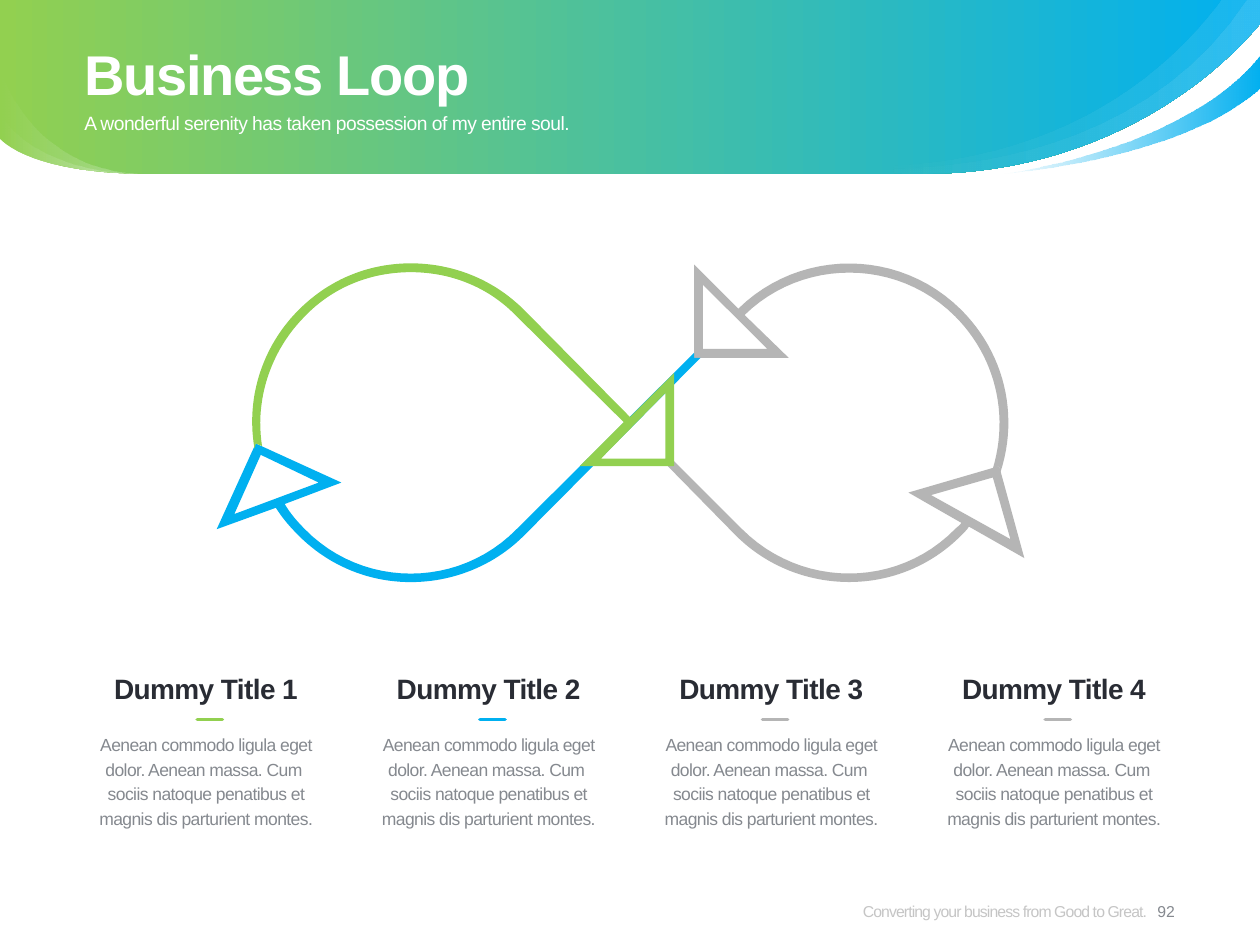
from dataclasses import dataclass

from lxml import etree
from pptx import Presentation
from pptx.dml.color import RGBColor
from pptx.enum.text import MSO_ANCHOR, MSO_AUTO_SIZE, PP_ALIGN
from pptx.oxml.ns import qn
from pptx.util import Inches, Pt

LEFT, CENTER, RIGHT = PP_ALIGN.LEFT, PP_ALIGN.CENTER, PP_ALIGN.RIGHT
TOP, MIDDLE = MSO_ANCHOR.TOP, MSO_ANCHOR.MIDDLE
NO_AUTOFIT = MSO_AUTO_SIZE.NONE


@dataclass(frozen=True)
class Theme:
    """Colours, font and type sizes of the slide."""
    green: str = "92D050"
    blue: str = "00B0F0"
    silver: str = "B5B5B5"
    white: str = "FFFFFF"
    dark: str = "292C34"
    gray: str = "85898F"
    footer: str = "8C8C8C"
    font: str = "Arial"
    title_size: int = 32
    heading_size: int = 16
    subtitle_size: int = 11
    body_size: int = 10
    footer_size: int = 9


THEME = Theme()
MARGIN, CONTENT_WIDTH = 0.67, 8.66
COLUMN_WIDTH, DASH_WIDTH = 1.93, 0.2
CURVE_STEPS = 24

HEADER_EDGE = [(10, 0.19), (9.45, 0.84, 8.5, 1.38, 7.34, 1.38)]
HEADER_TAIL = [(7.25, 1.38), (6.83, 1.38, 6.53, 1.31, 6.51, 1.31)]
BAND = [(10, 0), *HEADER_EDGE, (1.14, 1.38), (0.21, 1.37, 0, 1.1, 0, 1.1), (0, 0)]
RIBBON = [(7.94, 1.38), (7.94, 1.38, 9.4, 1.2, 10, 0.43), (10, 0.69),
          (10, 0.69, 9.54, 1.22, 7.94, 1.38)]
WIDE_GLOSS = [(10, 0), *HEADER_EDGE, *HEADER_TAIL, (8.32, 1.43, 9.26, 0.58, 9.69, 0)]
NARROW_GLOSS = [(10, 0), *HEADER_EDGE, *HEADER_TAIL, (6.58, 1.32, 8.82, 1.62, 9.89, 0)]

LOOP_PARTS = [
    (THEME.silver, [
        [(7.93, 3.7), (7.21, 3.91), (7.63, 4.15), (7.62, 4.17, 7.6, 4.18, 7.58, 4.2),
         (7.12, 4.67, 6.36, 4.67, 5.89, 4.2), (5.35, 3.66), (5.35, 3.7), (5.3, 3.7),
         (5.84, 4.25), (6.09, 4.5, 6.42, 4.62, 6.74, 4.62),
         (7.06, 4.62, 7.38, 4.5, 7.63, 4.25), (7.65, 4.23, 7.68, 4.2, 7.69, 4.18),
         (8.13, 4.43)],
        [(7.39, 3.93), (7.88, 3.79), (8.02, 4.28)]]),
    (THEME.silver, [
        [(7.63, 2.46), (7.14, 1.97, 6.35, 1.97, 5.86, 2.45), (5.51, 2.1), (5.51, 2.84),
         (6.26, 2.84), (5.91, 2.5), (6.37, 2.05, 7.12, 2.05, 7.58, 2.51),
         (7.9, 2.83, 8.01, 3.29, 7.88, 3.72), (7.93, 3.7), (7.94, 3.75),
         (8.09, 3.29, 7.97, 2.8, 7.63, 2.46)],
        [(6.09, 2.77), (5.58, 2.77), (5.58, 2.26)]]),
    (THEME.blue, [
        [(5.51, 2.84), (5.51, 2.8), (4.1, 4.2), (3.64, 4.67, 2.88, 4.67, 2.42, 4.2),
         (2.36, 4.14, 2.3, 4.07, 2.26, 4), (2.71, 3.83), (2.03, 3.52), (1.72, 4.2),
         (2.19, 4.03), (2.24, 4.11, 2.3, 4.18, 2.37, 4.25),
         (2.62, 4.5, 2.94, 4.62, 3.26, 4.62), (3.58, 4.62, 3.91, 4.5, 4.16, 4.25),
         (5.56, 2.84)],
        [(1.86, 4.08), (2.07, 3.61), (2.53, 3.83)]]),
    (THEME.green, [
        [(5, 3.31), (4.16, 2.46), (3.92, 2.22, 3.6, 2.09, 3.26, 2.09),
         (2.92, 2.09, 2.61, 2.22, 2.37, 2.46), (2.08, 2.75, 1.95, 3.16, 2.02, 3.56),
         (2.03, 3.52), (2.08, 3.54), (2.02, 3.17, 2.15, 2.78, 2.42, 2.51),
         (2.64, 2.28, 2.94, 2.16, 3.26, 2.16), (3.58, 2.16, 3.88, 2.28, 4.1, 2.51),
         (4.95, 3.35), (4.6, 3.7), (5.35, 3.7), (5.35, 2.96)],
        [(5.28, 3.64), (4.77, 3.64), (5.28, 3.12)]]),
]

COLUMNS = [("Dummy Title 1", THEME.green), ("Dummy Title 2", THEME.blue),
           ("Dummy Title 3", THEME.silver), ("Dummy Title 4", THEME.silver)]
BODY = ("Aenean commodo ligula eget dolor. Aenean massa. Cum \n"
        "sociis natoque penatibus et magnis dis parturient montes.")


def rgb(value):
    """Return a colour object for a hex value."""
    return RGBColor.from_string(value)


def set_opacity(element, percents):
    """Give the colours inside an element their opacity, in order."""
    for color, percent in zip(element.iter(qn("a:srgbClr")), percents):
        etree.SubElement(color, qn("a:alpha")).set("val", str(percent * 1000))


def flatten(outline):
    """Turn an outline of points and cubic curves into points in EMU."""
    points = []
    for step in outline:
        if len(step) == 2:
            points.append(step)
            continue
        controls = [points[-1], step[:2], step[2:4], step[4:]]
        for index in range(1, CURVE_STEPS + 1):
            t = index / CURVE_STEPS
            weights = ((1 - t) ** 3, 3 * t * (1 - t) ** 2, 3 * t * t * (1 - t), t ** 3)
            points.append(tuple(sum(weight * control[axis] for weight, control
                                    in zip(weights, controls)) for axis in (0, 1)))
    return [(Inches(x), Inches(y)) for x, y in points]


def add_outline(slide, *outlines):
    """Add one closed shape; further outlines cut holes in it."""
    first, *holes = map(flatten, outlines)
    builder = slide.shapes.build_freeform(*first[0], scale=1)
    builder.add_line_segments(first[1:])
    for hole in holes:
        builder.move_to(*hole[0])
        builder.add_line_segments(hole[1:])
    shape = builder.convert_to_shape()
    shape.shadow.inherit = False
    shape.line.fill.background()
    return shape


def add_gradient_outline(slide, outline, colors, opacity=(100, 100), start=0):
    """Add a shape with a two-stop gradient from left to right."""
    shape = add_outline(slide, outline)
    shape.fill.gradient()
    shape.fill.gradient_angle = 0
    for stop, color, position in zip(shape.fill.gradient_stops, colors, (start, 1)):
        stop.color.rgb = rgb(color)
        stop.position = position
    set_opacity(shape.element.spPr, opacity)


def write_text(shape, text, size, color, bold=False, align=LEFT, anchor=TOP,
               line_spacing=None, tracking=0, opacity=100):
    """Fill a shape with formatted text, one paragraph per line."""
    frame = shape.text_frame
    frame.word_wrap = True
    frame.auto_size = NO_AUTOFIT
    frame.vertical_anchor = anchor
    frame.margin_left = frame.margin_top = frame.margin_right = frame.margin_bottom = 0
    frame.text = text
    for paragraph in frame.paragraphs:
        paragraph.alignment = align
        if line_spacing:
            paragraph.line_spacing = Pt(line_spacing)
        for run in paragraph.runs:
            font = run.font
            font.name, font.size, font.bold = THEME.font, Pt(size), bold
            font.color.rgb = rgb(color)
            properties = run._r.get_or_add_rPr()
            properties.set("spc", str(round(tracking * 100)))
            if opacity < 100:
                set_opacity(properties, [opacity])


def add_text(slide, left, top, width, height, text, **text_format):
    """Add a text box at a place given in inches."""
    box = slide.shapes.add_textbox(*map(Inches, (left, top, width, height)))
    write_text(box, text, **text_format)


def add_dash(slide, left, top, color):
    """Add a short horizontal rule with round ends."""
    dash = slide.shapes.add_connector(1, Inches(left), Inches(top),
                                      Inches(left + DASH_WIDTH), Inches(top))
    dash.line.color.rgb = rgb(color)
    dash.line.width = Pt(2)
    properties = dash.element.spPr
    properties.find(qn("a:ln")).set("cap", "rnd")
    etree.SubElement(properties, qn("a:effectLst"))


def add_header(slide):
    """Add the coloured band, its glosses, the title and the subtitle."""
    whites = (THEME.white, THEME.white)
    add_gradient_outline(slide, BAND, (THEME.green, THEME.blue))
    add_gradient_outline(slide, RIBBON, (THEME.blue, THEME.blue), (0, 100))
    add_gradient_outline(slide, WIDE_GLOSS, whites, (0, 10), 0.15)
    for top, bend in ((0.89, 1.36), (0.53, 1.35)):
        corner = [(1.14, 1.38), (0.21, 1.37, 0, 1.1, 0, 1.1), (0, top),
                  (0, top, 0.21, bend, 1.14, 1.38)]
        add_gradient_outline(slide, corner, whites, (0, 30))
    add_gradient_outline(slide, NARROW_GLOSS, whites, (0, 10), 0.15)

    title = slide.shapes.title
    title.left, title.top = Inches(MARGIN), Inches(0.23)
    title.width, title.height = Inches(CONTENT_WIDTH), Inches(0.65)
    write_text(title, "Business Loop", size=THEME.title_size, color=THEME.white,
               bold=True, anchor=MIDDLE, line_spacing=42, tracking=-0.8)
    slide.shapes.element.append(title.element)
    add_text(slide, MARGIN, 0.88, CONTENT_WIDTH, 0.39,
             "A wonderful serenity has taken possession of my entire soul.",
             size=THEME.subtitle_size, color=THEME.white, tracking=-0.3)


def add_column(slide, left, heading, color):
    """Add a heading, a coloured dash and a description."""
    add_text(slide, left, 5.33, COLUMN_WIDTH, 0.27, heading, size=THEME.heading_size,
             color=THEME.dark, bold=True, align=CENTER, tracking=-0.3)
    add_dash(slide, left + (COLUMN_WIDTH - DASH_WIDTH) / 2 + 0.03, 5.71, color)
    add_text(slide, left, 5.8, COLUMN_WIDTH, 0.79, BODY, size=THEME.body_size,
             color=THEME.gray, align=CENTER, line_spacing=14, tracking=-0.3)


def add_footer(slide):
    """Add the closing line and the page number."""
    add_text(slide, 6.04, 6.96, 3.06, 0.54, "Converting your business from Good to Great.",
             size=THEME.footer_size, color=THEME.footer, align=RIGHT, anchor=MIDDLE,
             tracking=-0.5, opacity=50)
    add_text(slide, 9.02, 6.96, 0.47, 0.54, "92", size=THEME.footer_size,
             color=THEME.gray, align=CENTER, anchor=MIDDLE)


def main():
    """Build the slide and save it."""
    presentation = Presentation()
    presentation.slide_width, presentation.slide_height = Inches(10), Inches(7.5)
    slide = presentation.slides.add_slide(presentation.slide_layouts[5])
    add_header(slide)
    add_footer(slide)
    pitch = (CONTENT_WIDTH - COLUMN_WIDTH) / (len(COLUMNS) - 1)
    for index, (heading, color) in enumerate(COLUMNS):
        add_column(slide, MARGIN + index * pitch, heading, color)
    for color, outlines in LOOP_PARTS:
        shape = add_outline(slide, *outlines)
        shape.fill.solid()
        shape.fill.fore_color.rgb = rgb(color)
    presentation.save("out.pptx")


if __name__ == "__main__":
    main()
